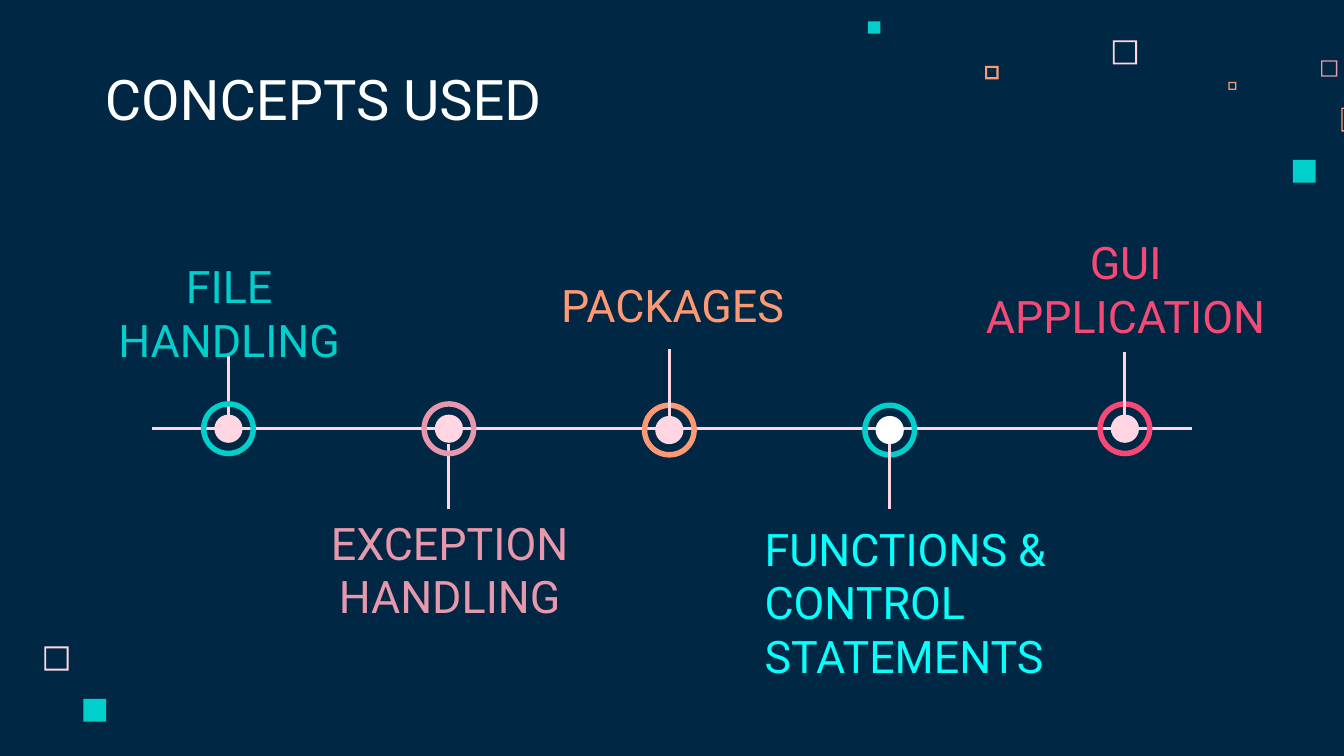
import pptx
import pptx.dml.color
import pptx.enum.shapes
import pptx.enum.text
import pptx.oxml
import pptx.util
from dataclasses import dataclass
from typing import NamedTuple

Inches = pptx.util.Inches
Shape = pptx.enum.shapes.MSO_SHAPE
Anchor = pptx.enum.text.MSO_ANCHOR
Align = pptx.enum.text.PP_ALIGN


@dataclass(frozen=True)
class Theme:
    navy: str = "002845"
    white: str = "FFFFFF"
    blush: str = "FFD6E1"
    rose: str = "E898AC"
    orange: str = "FF9973"
    teal: str = "00CFCC"
    cyan: str = "07FFFC"
    crimson: str = "F64975"
    font: str = "Roboto"
    title_size: int = 30
    label_size: int = 24
    line_width: float = 1.5


THEME = Theme()
SLIDE_WIDTH = 10
SLIDE_HEIGHT = SLIDE_WIDTH * 9 / 16
DOT_SIZE = 0.21
RING_SIZE = 0.41
AXIS_Y = 3.19


class Concept(NamedTuple):
    label: str
    box: tuple
    x: float
    y: float
    stem: tuple
    ring_color: str
    label_color: str
    dot_color: str = THEME.blush
    align: Align = Align.CENTER
    anchor: Anchor = Anchor.MIDDLE


CONCEPTS = [
    Concept("FILE HANDLING", (0.55, 2.09, 2.31, 0.47), 1.7, 3.19, (2.63, 3.13),
            THEME.teal, THEME.teal),
    Concept("EXCEPTION HANDLING", (2.19, 3.88, 2.31, 0.71), 3.34, 3.19, (3.3, 3.79),
            THEME.rose, THEME.rose),
    Concept("PACKAGES", (3.99, 2.03, 2.03, 0.47), 4.98, 3.2, (2.6, 3.1),
            THEME.orange, THEME.orange),
    Concept("FUNCTIONS & CONTROL STATEMENTS", (5.59, 3.83, 2.31, 1.31), 6.62, 3.2,
            (3.3, 3.79), THEME.teal, THEME.cyan, THEME.white, Align.LEFT, Anchor.TOP),
    Concept("GUI APPLICATION", (7.22, 1.79, 2.31, 0.71), 8.37, 3.19, (2.62, 3.11),
            THEME.crimson, THEME.crimson),
]

FRAMES = [
    (8.28, 0.3, 0.18, 0.08, THEME.blush),
    (9.83, 0.45, 0.12, 0.08, THEME.rose),
    (9.14, 0.61, 0.06, 0.16, THEME.orange),
    (9.98, 0.8, 0.18, 0.06, THEME.orange),
    (7.33, 0.49, 0.1, 0.15, THEME.orange),
    (0.33, 4.81, 0.18, 0.08, THEME.blush),
]

SQUARES = [(9.62, 1.19, 0.17), (6.46, 0.16, 0.09), (0.62, 5.2, 0.17)]


def rgb(color):
    return pptx.dml.color.RGBColor.from_string(color)


def add_filled(slide, kind, left, top, size, color):
    figure = slide.shapes.add_shape(
        kind, Inches(left), Inches(top), Inches(size), Inches(size))
    figure.shadow.inherit = False
    figure.fill.solid()
    figure.fill.fore_color.rgb = rgb(color)
    figure.line.fill.background()
    return figure


def add_line(slide, x1, y1, x2, y2):
    line = slide.shapes.add_connector(
        pptx.enum.shapes.MSO_CONNECTOR.STRAIGHT,
        Inches(x1), Inches(y1), Inches(x2), Inches(y2))
    line.line.color.rgb = rgb(THEME.blush)
    line.line.width = pptx.util.Pt(THEME.line_width)
    properties = line._element.spPr
    properties.append(pptx.oxml.parse_xml(
        '<a:effectLst xmlns:a="http://schemas.openxmlformats.org/drawingml/2006/main"/>'))


def add_stem(slide, concept):
    start, end = concept.stem
    add_line(slide, concept.x, start, concept.x, end)


def write_text(holder, text, size, color, align, anchor, margins):
    frame = holder.text_frame
    frame.word_wrap = True
    frame.auto_size = pptx.enum.text.MSO_AUTO_SIZE.NONE
    frame.vertical_anchor = anchor
    frame.margin_left = frame.margin_right = Inches(0.1)
    frame.margin_top = frame.margin_bottom = Inches(margins)
    frame.text = text
    paragraph = frame.paragraphs[0]
    paragraph.alignment = align
    paragraph.font.name = THEME.font
    paragraph.font.size = pptx.util.Pt(size)
    paragraph.font.color.rgb = rgb(color)


def set_title(slide, text):
    title = slide.shapes.title
    title.left, title.top = Inches(0.68), Inches(0.45)
    title.width, title.height = Inches(5.17), Inches(0.63)
    write_text(title, text, THEME.title_size, THEME.white,
               Align.LEFT, Anchor.BOTTOM, 0.1)


def add_label(slide, concept):
    label = slide.shapes.add_textbox(*map(Inches, concept.box))
    margins = 0.05 if concept.anchor == Anchor.TOP else 0.1
    write_text(label, concept.label, THEME.label_size, concept.label_color,
               concept.align, concept.anchor, margins)


def add_node(slide, concept):
    for kind, size, color in (
        (Shape.OVAL, DOT_SIZE, concept.dot_color),
        (Shape.DONUT, RING_SIZE, concept.ring_color),
    ):
        figure = add_filled(slide, kind, concept.x - size / 2,
                            concept.y - size / 2, size, color)
        if kind == Shape.DONUT:
            figure.adjustments[0] = 0.1


def add_decorations(slide):
    for left, top, size, border, color in FRAMES:
        frame = add_filled(slide, Shape.FRAME, left, top, size, color)
        frame.adjustments[0] = border
    for left, top, size in SQUARES:
        add_filled(slide, Shape.RECTANGLE, left, top, size, THEME.teal)


def add_timeline(slide):
    for concept in CONCEPTS[:2]:
        add_stem(slide, concept)
    add_line(slide, 1.13, AXIS_Y, 8.87, AXIS_Y)
    for concept in CONCEPTS:
        add_node(slide, concept)
        add_label(slide, concept)
    for concept in CONCEPTS[2:]:
        add_stem(slide, concept)


def main():
    deck = pptx.Presentation()
    deck.slide_width, deck.slide_height = Inches(SLIDE_WIDTH), Inches(SLIDE_HEIGHT)
    slide = deck.slides.add_slide(deck.slide_layouts.get_by_name("Title Only"))
    slide.background.fill.solid()
    slide.background.fill.fore_color.rgb = rgb(THEME.navy)
    add_decorations(slide)
    set_title(slide, "CONCEPTS USED")
    add_timeline(slide)
    deck.save("out.pptx")


if __name__ == "__main__":
    main()
